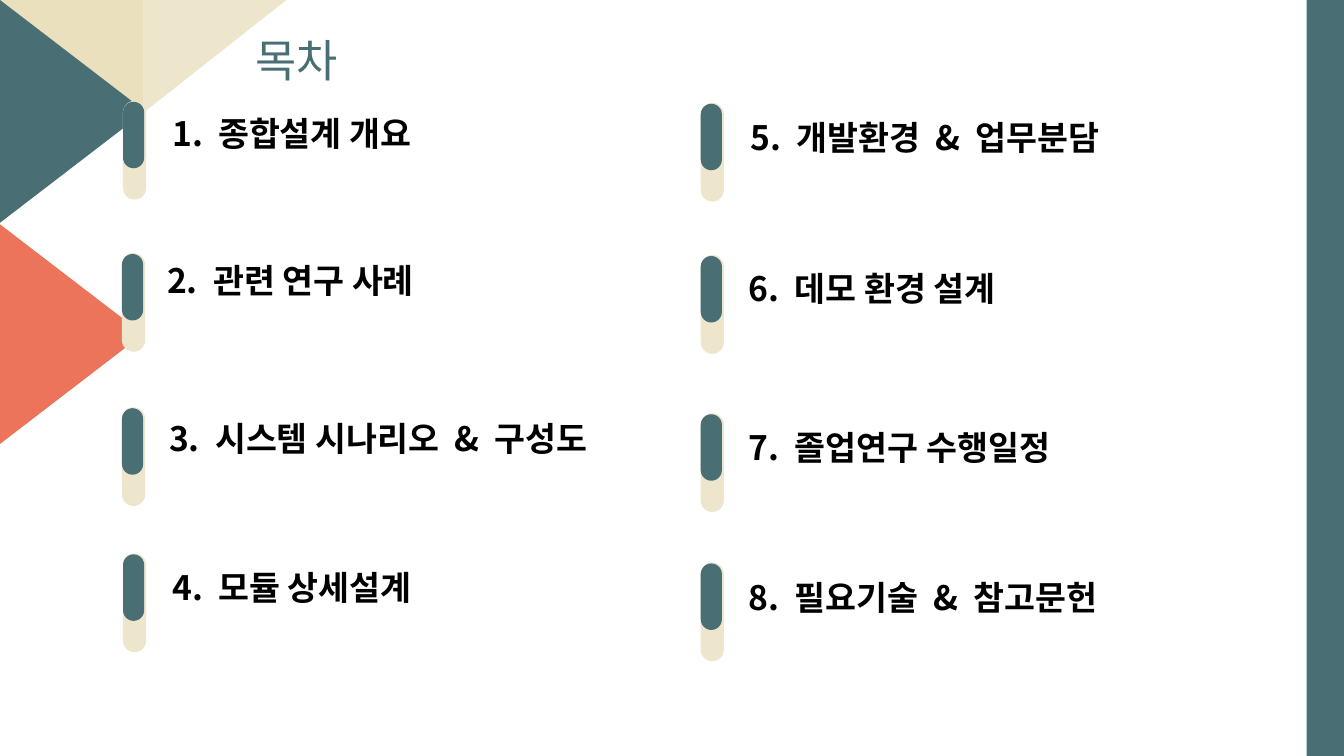
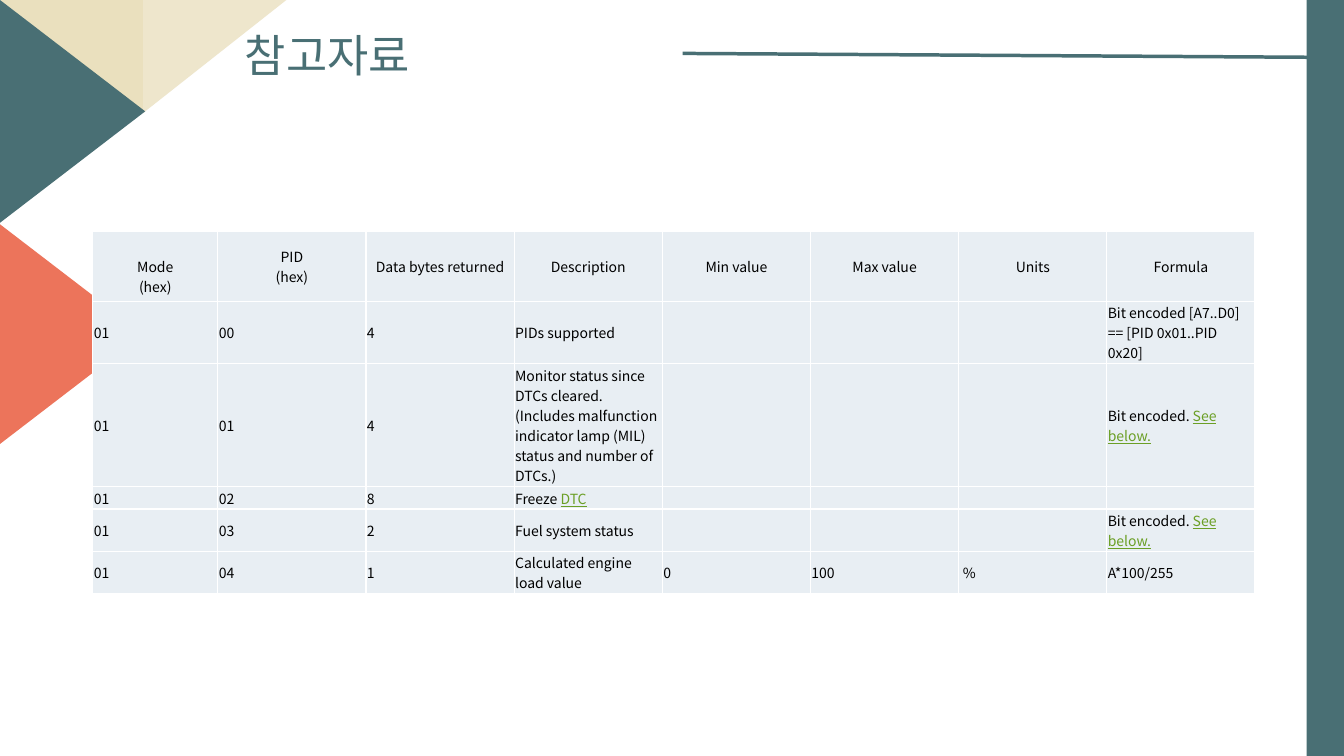
"""Build a contents slide and a reference-table slide in one shared style."""
from lxml import etree
from pptx import Presentation
from pptx import util as u
from pptx.dml.color import RGBColor
from pptx.enum import shapes, text
from pptx.oxml.ns import qn

W, H = 13.33, 7.5
FONT = "Noto Sans CJK KR"
TEAL, CORAL, SAND, CREAM = "496F74", "EC745B", "EAE0BE", "EEE6CC"
BLACK, CELL, LINK = "000000", "E8EEF3", "6B9F25"
KIND = shapes.MSO_SHAPE

DECOR = [
    (KIND.RIGHT_TRIANGLE, (0, 0, 1.42, 1.12), SAND, 180),
    (KIND.RIGHT_TRIANGLE, (1.42, 0, 1.42, 1.12), CREAM, 90),
    (KIND.ISOSCELES_TRIANGLE, (0, 0, 1.44, 2.21), TEAL, 90),
    (KIND.ISOSCELES_TRIANGLE, (-0.02, 2.21, 1.44, 2.21), CORAL, 90),
    (KIND.RECTANGLE, (W - 0.37, 0, 0.37, H), TEAL, 0),
]

WIDE_GAP = "|"
AGENDA = [
    ("1.|종합설계 개요", (1.22, 1.0), (1.61, 1.07)),
    ("2.|관련 연구 사례", (1.21, 2.51), (1.56, 2.53)),
    ("3.|시스템 시나리오|&|구성도", (1.21, 4.04), (1.58, 4.1)),
    ("4.|모듈 상세설계", (1.22, 5.49), (1.61, 5.58)),
    ("5.|개발환경|&|업무분담", (6.95, 1.02), (7.35, 1.11)),
    ("6.|데모 환경 설계", (6.95, 2.53), (7.33, 2.61)),
    ("7.|졸업연구 수행일정", (6.95, 4.1), (7.33, 4.19)),
    ("8.|필요기술|&|참고문헌", (6.95, 5.58), (7.33, 5.67)),
]

BELOW = [("Bit encoded. ", BLACK), ("See below.", LINK)]
PIDS = [
    ["Mode\n(hex)", "PID\n(hex)", "Data bytes returned", "Description",
     "Min value", "Max value", "Units", "Formula"],
    ["01", "00", "4", "PIDs supported", "", "", "",
     "Bit encoded [A7..D0] == [PID 0x01..PID 0x20]"],
    ["01", "01", "4", "Monitor status since DTCs cleared. (Includes malfunction "
     "indicator lamp (MIL) status and number of DTCs.)", "", "", "", BELOW],
    ["01", "02", "8", [("Freeze ", BLACK), ("DTC", LINK)], "", "", "", ""],
    ["01", "03", "2", "Fuel system status", "", "", "", BELOW],
    ["01", "04", "1", "Calculated engine load value", "0", "100", " %", "A*100/255"],
]
COLS = [1.24] + [1.47] * 7
ROWS = [0.69, 0.62, 1.22, 0.22, 0.42, 0.42]


def rgb(color):
    """Turn a hex string into a colour."""
    return RGBColor.from_string(color)


def inches(*values):
    """Turn numbers into lengths."""
    return [u.Inches(v) for v in values]


def style(font, size, color):
    """Set size and colour, and the font for Latin and Korean text."""
    font.name, font.size = FONT, u.Pt(size)
    font.color.rgb = rgb(color)


def add_run(p, words, size, color, bold=False):
    """Add one formatted run."""
    r = p.add_run()
    r.text = words
    style(r.font, size, color)
    r.font.bold = bold
    etree.SubElement(r._r.get_or_add_rPr(), qn("a:ea"), typeface=FONT)
    return r


def add_block(s, kind, box, color, rot=0):
    """Add a flat shape that covers the box once it is rotated."""
    x, y, w, h = box
    if rot % 180:
        x, y, w, h = x + (w - h) / 2, y + (h - w) / 2, h, w
    sp = s.shapes.add_shape(kind, *inches(x, y, w, h))
    sp.rotation = rot
    sp.shadow.inherit = False
    sp.fill.solid()
    sp.fill.fore_color.rgb = rgb(color)
    sp.line.fill.background()
    return sp


def add_slide(prs, title, box):
    """Add a slide with the shared decoration and title style."""
    s = prs.slides.add_slide(prs.slide_layouts[5])
    for kind, area, color, rot in DECOR:
        add_block(s, kind, area, color, rot)
    sp = s.shapes.title
    sp.left, sp.top, sp.width, sp.height = inches(*box)
    tf = sp.text_frame
    tf.auto_size = text.MSO_AUTO_SIZE.NONE
    tf.vertical_anchor = text.MSO_ANCHOR.MIDDLE
    p = tf.paragraphs[0]
    p.alignment = text.PP_ALIGN.LEFT
    p.line_spacing, p.space_before = 0.9, u.Pt(10)
    add_run(p, title, 32, TEAL)
    return s


def add_agenda_item(s, words, pill, label):
    """Add a two-tone pill and its heading."""
    x, y = pill
    for top, w, h, color in ((y, 0.23, 0.98, CREAM), (y + 0.01, 0.21, 0.66, TEAL)):
        add_block(s, KIND.ROUNDED_RECTANGLE, (x, top, w, h), color).adjustments[0] = 0.5
    tf = s.shapes.add_textbox(*inches(*label, 4.7, 0.5)).text_frame
    tf.word_wrap = True
    p = tf.paragraphs[0]
    for i, part in enumerate(words.split(WIDE_GAP)):
        if i:
            gap = add_run(p, " ", 24, BLACK, True)
            gap._r.get_or_add_rPr().set("spc", "540")
        add_run(p, part, 24, BLACK, True)


def fill_cell(cell, content, header):
    """Fill one table cell with its runs."""
    cell.fill.solid()
    cell.fill.fore_color.rgb = rgb(CELL)
    cell.vertical_anchor = text.MSO_ANCHOR.MIDDLE
    cell.margin_left = cell.margin_right = u.Inches(0.01)
    cell.margin_top = cell.margin_bottom = u.Inches(0.01)
    p = cell.text_frame.paragraphs[0]
    p.alignment = text.PP_ALIGN.CENTER if header else text.PP_ALIGN.LEFT
    if not content:
        style(p.font, 10, BLACK)
        return
    runs = [(content, BLACK)] if isinstance(content, str) else content
    for words, color in runs:
        for i, line in enumerate(words.split("\n")):
            if i:
                p.add_line_break()
            add_run(p, line, 10, color).font.underline = color == LINK


def add_pid_table(s):
    """Add the table of parameter codes."""
    frame = s.shapes.add_table(len(ROWS), len(COLS),
                               *inches(0.92, 2.3, sum(COLS), sum(ROWS)))
    table = frame.table
    table.first_row = table.horz_banding = False
    for col, width in zip(table.columns, COLS):
        col.width = u.Inches(width)
    for i, (height, row) in enumerate(zip(ROWS, PIDS)):
        table.rows[i].height = u.Inches(height)
        for j, content in enumerate(row):
            fill_cell(table.cell(i, j), content, i == 0)
    table.cell(0, 0).margin_top = u.Inches(0.21)


def add_rule(s, start, end):
    """Add the line beside the title."""
    line = s.shapes.add_connector(shapes.MSO_CONNECTOR.STRAIGHT, *inches(*start, *end))
    line.line.color.rgb = rgb(TEAL)
    line.line.width = u.Pt(2.5)
    etree.SubElement(line.element.spPr, qn("a:effectLst"))


def main():
    """Build and save the slides."""
    prs = Presentation()
    prs.slide_width, prs.slide_height = inches(W, H)
    s = add_slide(prs, "목차", (2.43, 0.33, 1.89, 0.59))
    for item in AGENDA:
        add_agenda_item(s, *item)
    s = add_slide(prs, "참고자료", (2.33, 0.28, 7.51, 0.59))
    add_pid_table(s)
    add_rule(s, (6.77, 0.53), (13.22, 0.57))
    prs.save("out.pptx")


if __name__ == "__main__":
    main()
